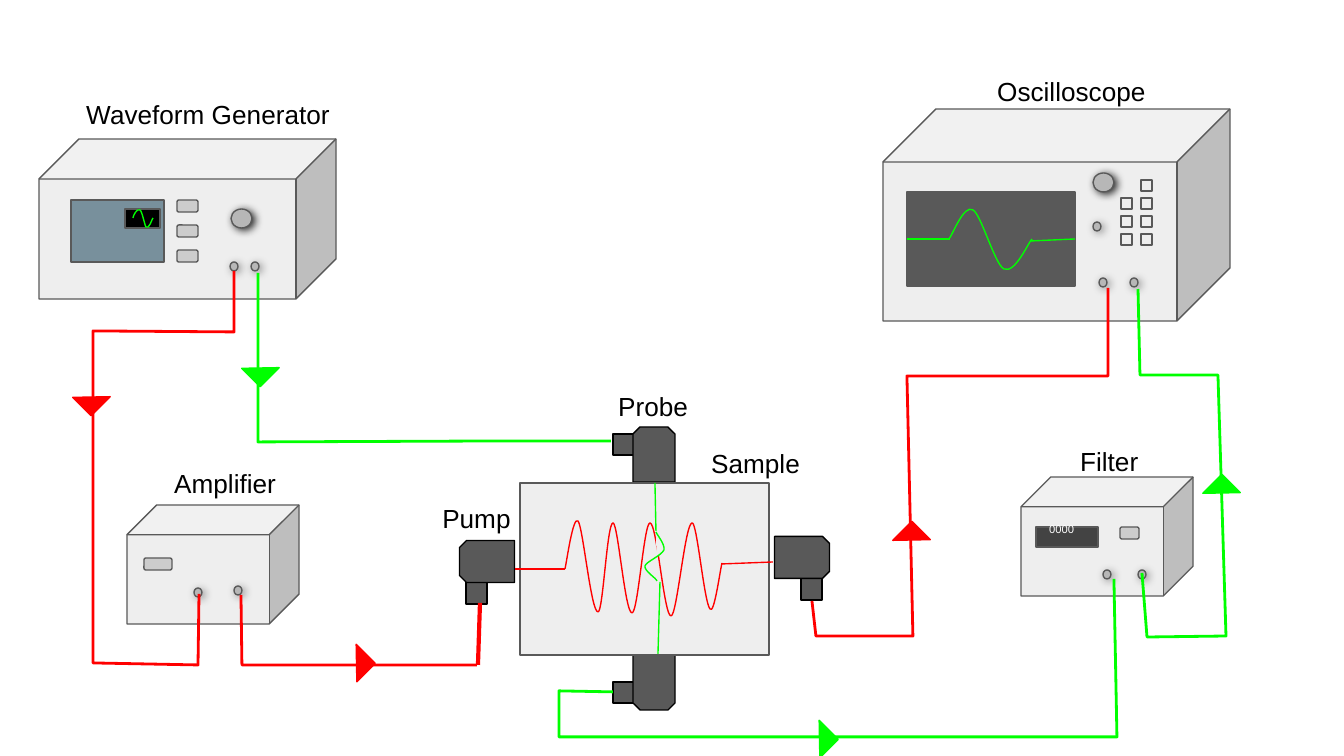
from itertools import product
from typing import NamedTuple, Optional

import lxml.etree
import pptx
import pptx.dml.color
import pptx.enum.shapes
import pptx.oxml.ns
import pptx.util

EMU_PER_PIXEL = 914400 / 134.4
COLORS = {
    "case": "EEEEEE", "edge": "595959", "button": "CCCCCC", "port": "B7B7B7",
    "display": "78909C", "readout": "434343", "black": "000000",
    "white": "FFFFFF", "red": "FF0000", "green": "00FF00",
}
KIND = pptx.enum.shapes.MSO_SHAPE
Point = tuple[int, int]


class Shadow(NamedTuple):
    opacity: int
    angle: int


class Part(NamedTuple):
    kind: KIND
    left: int
    top: int
    width: int
    height: int
    fill: str
    line: str = "edge"
    rotation: int = 0
    shadow: Optional[Shadow] = None


class Path(NamedTuple):
    points: list[Point]
    line: str
    width: float = 1.5
    fill: Optional[str] = None
    curved: bool = False


class Line(NamedTuple):
    start: Point
    end: Point
    color: str


class Label(NamedTuple):
    text: str
    left: int
    top: int
    width: int
    height: int = 59
    size: int = 14
    color: str = "black"


def emu(pixels: float) -> pptx.util.Emu:
    """Turn pixels into EMU."""
    return pptx.util.Emu(round(pixels * EMU_PER_PIXEL))


def rgb(name: str) -> pptx.dml.color.RGBColor:
    """Look up a named colour."""
    return pptx.dml.color.RGBColor.from_string(COLORS[name])


def paint(shape, fill: Optional[str], line: str, width: float = 0.75) -> None:
    """Set fill and outline, and drop the theme shadow."""
    if fill:
        shape.fill.solid()
        shape.fill.fore_color.rgb = rgb(fill)
    else:
        shape.fill.background()
    shape.line.color.rgb = rgb(line)
    shape.line.width = pptx.util.Pt(width)
    shape.shadow.inherit = False


def cast_shadow(shape, shadow: Shadow) -> None:
    """Give a shape a soft outer shadow."""
    qn = pptx.oxml.ns.qn
    effects = shape._element.spPr.find(qn("a:effectLst"))
    outer = lxml.etree.SubElement(
        effects, qn("a:outerShdw"), blurRad=str(pptx.util.Pt(4.5)),
        dist=str(pptx.util.Pt(1.5)), dir=str(shadow.angle * 60000),
        algn="bl", rotWithShape="0")
    color = lxml.etree.SubElement(outer, qn("a:srgbClr"), val=COLORS["black"])
    lxml.etree.SubElement(color, qn("a:alpha"), val=str(shadow.opacity * 1000))


def add_part(shapes, part: Part) -> None:
    """Draw one preset shape."""
    shape = shapes.add_shape(
        part.kind, emu(part.left), emu(part.top), emu(part.width), emu(part.height))
    shape.rotation = part.rotation
    paint(shape, part.fill, part.line)
    if part.shadow:
        cast_shadow(shape, part.shadow)


def bend(shape) -> None:
    """Turn each three line segments of an outline into one cubic curve."""
    qn = pptx.oxml.ns.qn
    segments = list(shape._element.iter(qn("a:lnTo")))
    for first in range(0, len(segments), 3):
        curve = lxml.etree.Element(qn("a:cubicBezTo"))
        segments[first].addprevious(curve)
        for segment in segments[first:first + 3]:
            curve.append(segment[0])
            segment.getparent().remove(segment)


def add_path(shapes, path: Path) -> None:
    """Draw an open outline through the points."""
    points = [(emu(x), emu(y)) for x, y in path.points]
    builder = shapes.build_freeform(*points[0], scale=1.0)
    builder.add_line_segments(points[1:], close=False)
    shape = builder.convert_to_shape()
    if path.curved:
        bend(shape)
    paint(shape, path.fill, path.line, path.width)


def add_line(shapes, line: Line) -> None:
    """Draw a thin straight signal line."""
    connector = shapes.add_connector(
        pptx.enum.shapes.MSO_CONNECTOR.STRAIGHT, *map(emu, line.start + line.end))
    connector.line.color.rgb = rgb(line.color)
    connector.line.width = pptx.util.Pt(0.75)
    lxml.etree.SubElement(connector._element.spPr, pptx.oxml.ns.qn("a:effectLst"))


def add_text(shapes, text: str, *, left: int, top: int, width: int,
             height: int, size: int, color: str) -> None:
    """Write one line of text in a box."""
    box = shapes.add_textbox(emu(left), emu(top), emu(width), emu(height))
    frame = box.text_frame
    frame.word_wrap = True
    frame.margin_left = frame.margin_right = pptx.util.Inches(0.1)
    frame.margin_top = frame.margin_bottom = pptx.util.Inches(0.1)
    run = frame.paragraphs[0].add_run()
    run.text = text
    run.font.name = "Arial"
    run.font.size = pptx.util.Pt(size)
    run.font.color.rgb = rgb(color)


def add_label(shapes, label: Label) -> None:
    """Write one label."""
    add_text(shapes, **label._asdict())


def draw(shapes, items: list) -> None:
    """Draw items from back to front."""
    painters = {Part: add_part, Path: add_path, Line: add_line, Label: add_label}
    for item in items:
        painters[type(item)](shapes, item)


def case(left: int, top: int, width: int, height: int) -> Part:
    """Describe an instrument case."""
    return Part(KIND.CUBE, left, top, width, height, "case")


def screen(left: int, top: int, width: int, height: int, fill: str) -> Part:
    """Describe a rectangle on a front panel."""
    return Part(KIND.RECTANGLE, left, top, width, height, fill)


def button(left: int, top: int, width: int) -> Part:
    """Describe a rounded button."""
    return Part(KIND.ROUNDED_RECTANGLE, left, top, width, 12, "button")


def knob(left: int, top: int) -> Part:
    """Describe a large knob."""
    return Part(KIND.OVAL, left, top, 21, 19, "port", shadow=Shadow(84, 26))


def port(left: int, top: int) -> Part:
    """Describe a small socket."""
    return Part(KIND.OVAL, left, top, 8, 9, "port", shadow=Shadow(38, 44))


def plug(left: int, top: int, width: int, height: int) -> Part:
    """Describe the cable plug of a transducer."""
    return Part(KIND.RECTANGLE, left, top, width, height, "edge", "black")


def transducer(left: int, top: int, rotation: int) -> Part:
    """Describe the body of a transducer."""
    return Part(KIND.SNIP_2_SAME_RECTANGLE, left, top, 42, 55, "edge", "black", rotation)


def wave(line: str, fill: str, *points: Point) -> Path:
    """Describe a curve: a start, then three points for each cubic."""
    return Path(list(points), line, 0.75, fill, True)


def flow(left: int, top: int, color: str, rotation: int) -> Part:
    """Describe a direction mark on a wire."""
    return Part(KIND.RIGHT_TRIANGLE, left, top, 27, 26, color, color, rotation)


KEYS = [spot for spot in product((1121, 1141), range(180, 235, 18)) if spot != (1121, 180)]
OSCILLOSCOPE = [
    case(883, 109, 347, 212), screen(907, 192, 168, 94, "edge"),
    wave("green", "edge", (949, 239), (953, 234), (964, 204), (973, 210), (981, 214),
         (995, 265), (1004, 269), (1015, 274), (1028, 243), (1032, 239)),
    Line((1075, 239), (1031, 241), "green"), Line((950, 239), (907, 239), "green"),
    knob(1093, 173), port(1130, 278), port(1093, 222), port(1099, 278),
    *[screen(*key, 11, 11, "case") for key in KEYS], Label("Oscilloscope", 984, 62, 360),
]
FILTER = [
    Label("Filter", 1067, 432, 125), case(1021, 477, 172, 119), button(1120, 527, 19),
    screen(1036, 527, 62, 20, "readout"), Label("0000", 1036, 516, 224, 40, 6, "white"),
    port(1103, 570), port(1138, 570),
]
GENERATOR = [
    case(39, 139, 297, 160), screen(71, 200, 93, 62, "display"),
    *[button(177, top, 21) for top in (200, 225, 250)],
    knob(231, 209), screen(125, 209, 35, 19, "black"),
    wave("green", "black", (133, 218), (133, 216), (137, 208), (140, 210), (142, 211),
         (145, 226), (146, 227), (149, 230), (152, 219), (153, 218)),
    Label("Waveform Generator", 73, 85, 321), port(251, 262), port(230, 262),
]
SAMPLE = [
    plug(801, 570, 21, 30), transducer(781, 530, 90),
    Label("Sample", 698, 434, 145), Label("Probe", 605, 377, 103),
    plug(613, 682, 30, 21), transducer(633, 655, 180),
    plug(613, 434, 30, 21), transducer(633, 427, 0), screen(520, 483, 249, 172, "case"),
    wave("red", "case", (565, 569), (567, 560), (573, 516), (578, 521), (583, 527),
         (591, 612), (598, 612), (603, 613), (607, 523), (613, 523), (618, 523), (625, 613),
         (632, 613), (638, 613), (644, 523), (650, 523), (657, 523), (664, 616), (671, 616),
         (677, 616), (685, 524), (692, 523), (697, 521), (704, 602), (710, 609), (714, 616),
         (720, 571), (722, 563)),
    plug(466, 574, 21, 30), transducer(466, 534, 270),
    wave("green", "case", (656, 532), (657, 535), (665, 544), (664, 550), (661, 556),
         (646, 562), (645, 566), (644, 571), (656, 578), (657, 581)),
    Line((658, 654), (660, 582), "green"), Line((656, 531), (655, 483), "green"),
    Line((722, 564), (773, 562), "red"), Line((515, 569), (565, 569), "red"),
    Label("Pump", 429, 489, 103),
]
AMPLIFIER = [case(127, 505, 172, 119), button(144, 558, 28), port(194, 588),
             Label("Amplifier", 161, 454, 145)]
WIRING = [
    Path([(234, 271), (234, 332), (93, 331), (93, 663), (198, 665), (199, 594)], "red"),
    port(234, 586), Path([(241, 595), (242, 665), (477, 665)], "red"),
    flow(78, 384, "red", 315), flow(343, 650, "red", 225),
    Path([(478, 665), (480, 603)], "red", 2.25), flow(898, 527, "red", 135),
    Path([(258, 273), (258, 442), (509, 441), (567, 441), (607, 441), (611, 441)], "green"),
    flow(247, 355, "green", 315),
    Path([(613, 692), (559, 691), (559, 737), (1117, 737), (1114, 579)], "green"),
    flow(806, 726, "green", 225),
    Path([(812, 601), (816, 636), (913, 636), (907, 376), (1108, 376), (1108, 288)], "red"),
    Path([(1142, 573), (1147, 637), (1226, 636), (1218, 375), (1140, 375), (1138, 289)], "green"),
    flow(1208, 480, "green", 135),
]

presentation = pptx.Presentation()
presentation.slide_width, presentation.slide_height = emu(1344), emu(756)
slide = presentation.slides.add_slide(presentation.slide_layouts[6])
for device in (OSCILLOSCOPE, FILTER, GENERATOR, SAMPLE, AMPLIFIER):
    draw(slide.shapes.add_group_shape().shapes, device)
draw(slide.shapes, WIRING)
presentation.save("out.pptx")
